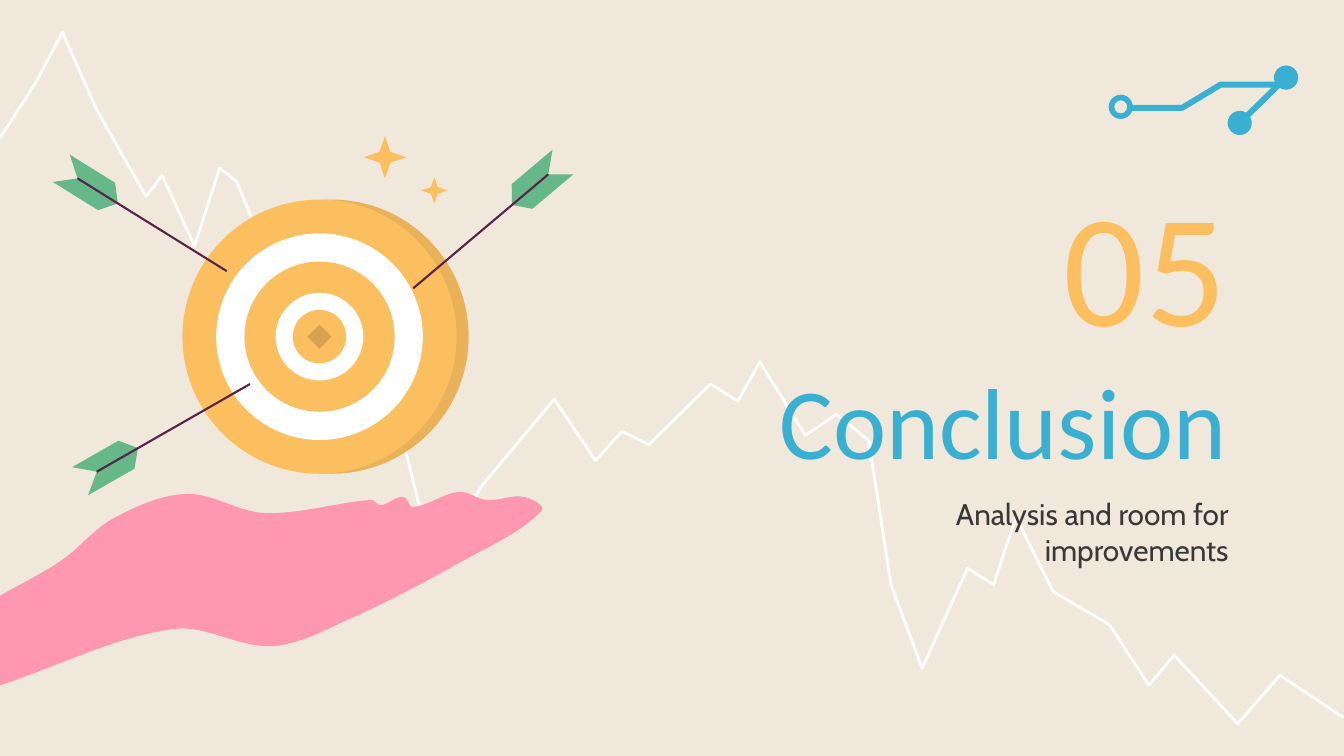
import math

from lxml import etree
from pptx import Presentation
from pptx import util as u
from pptx.dml.color import RGBColor
from pptx.enum import shapes, text
from pptx.oxml.ns import qn

CREAM = RGBColor(0xF1, 0xE8, 0xDC)
WHITE = RGBColor(0xFF, 0xFF, 0xFF)
BLUE = RGBColor(0x39, 0xB0, 0xD1)
GOLD = RGBColor(0xFB, 0xBF, 0x60)
SHADE = RGBColor(0xE8, 0xB1, 0x5A)
BRONZE = RGBColor(0xD7, 0xA3, 0x50)
GREEN = RGBColor(0x66, 0xB8, 0x88)
PLUM = RGBColor(0x56, 0x23, 0x49)
PINK = RGBColor(0xFE, 0x98, 0xB0)
INK = RGBColor(0x38, 0x38, 0x38)

# Content: places are in grid units of 2.54 cm
GRID = 2.54
STEPS = 10  # straight pieces per curve

TITLE = ("Conclusion", (4.07, 3.43, 8.23, 1.45), 0.13, "Calibri", 72, BLUE)
NUMBER = ("05", (7.48, 1.79, 4.82, 1.63), 0.13, "Calibri", 114.7, GOLD)
NOTE = ("Analysis and room for improvements", (7.8, 4.84, 4.49, 0.87),
        0.1, "Cabin", 21.3, INK)

TREND = [
    (0, 1.37), (0.35, 0.83), (0.62, 0.32), (0.96, 1.09), (1.45, 1.95),
    (1.61, 1.74), (1.93, 2.44), (2.18, 1.67), (2.35, 1.8), (2.65, 2.55),
    (3.99, 4.33), (4.3, 5.58), (4.79, 4.81), (5.5, 3.96), (5.91, 4.57),
    (6.17, 4.28), (6.44, 4.41), (7.05, 3.81), (7.32, 3.98), (7.54, 3.59),
    (7.99, 4.32), (8.3, 4.11), (8.62, 4.37), (8.84, 5.8), (9.15, 6.63),
    (9.6, 5.64), (9.86, 5.8), (10.08, 5.13), (10.45, 5.87), (11.01, 6.2),
    (11.4, 6.8), (11.65, 6.5), (12.28, 7.18), (12.7, 6.7), (13.33, 7.12)]

# Circuit: a bent wire, a diagonal wire, a ring and two dots
WIRE = [(11.2, 1.07), (11.73, 1.07), (12.11, 0.84), (12.69, 0.84)]
RING = (11.12, 1.06)
DOTS = [(12.3, 1.22), (12.76, 0.77)]
DOT = 0.24

# Target: centre, then ring sizes from the outside in
HUB = (3.17, 3.34)
RINGS = [2.72, 2.05, 1.49, 0.87, 0.53]
EDGE = 0.12
MARK = 0.24

# Arrows: tail and tip; the feather is given along and across the shaft
ARROWS = [((0.96, 4.68), (2.48, 3.81)), ((5.44, 1.73), (4.1, 2.86)),
          ((0.77, 1.77), (2.25, 2.69))]
FEATHER = [(0, 0), (-0.19, 0.16), (0.34, 0.16),
           (0.47, 0), (0.34, -0.16), (-0.19, -0.16)]

# Hand: a smooth curve from the top of the wrist to its underside
HAND = [
    (0, 5.91), (0.61, 5.56), (1.13, 5.14), (1.85, 4.9), (2.63, 5.09),
    (3.68, 4.96), (3.78, 5.01), (4, 4.93), (4.1, 5.03), (4.55, 4.88),
    (4.83, 4.96), (5.2, 4.93), (5.37, 5.07), (4.6, 5.56), (3.47, 6.14),
    (2.7, 6.41), (1.71, 6.24), (0, 6.8)]

SPARKS = [(3.82, 1.56, 0.42), (4.31, 1.89, 0.26)]


def cm(val):
    return u.Cm(val * GRID)


def paint(shape, color):
    shape.shadow.inherit = False
    shape.fill.solid()
    shape.fill.fore_color.rgb = color
    shape.line.fill.background()


def trace(slide, pts, close=True):
    pts = [(cm(x), cm(y)) for x, y in pts]
    pen = slide.shapes.build_freeform(*pts[0])
    pen.add_line_segments(pts[1:], close=close)
    return pen.convert_to_shape()


def stroke(slide, pts, color, width):
    line = trace(slide, pts, close=False)
    line.shadow.inherit = False
    line.fill.background()
    line.line.color.rgb = color
    line.line.width = u.Pt(width)


def link(slide, ends, color, width):
    (x1, y1), (x2, y2) = ends
    line = slide.shapes.add_connector(
        shapes.MSO_CONNECTOR.STRAIGHT, cm(x1), cm(y1), cm(x2), cm(y2))
    line.line.color.rgb = color
    line.line.width = u.Pt(width)
    etree.SubElement(line._element.spPr, qn("a:effectLst"))


def disc(slide, x, y, size, color, kind=shapes.MSO_SHAPE.OVAL):
    shape = slide.shapes.add_shape(
        kind, cm(x - size / 2), cm(y - size / 2), cm(size), cm(size))
    paint(shape, color)
    return shape


def unit(a, b):
    span = math.dist(a, b)
    return (b[0] - a[0]) / span, (b[1] - a[1]) / span


def smooth(pts):
    last = len(pts) - 1
    ways = [unit(pts[max(i - 1, 0)], pts[min(i + 1, last)])
            for i in range(last + 1)]
    out = [pts[0]]
    for a, b, go, end in zip(pts, pts[1:], ways, ways[1:]):
        reach = math.dist(a, b) / 3
        for step in range(1, STEPS + 1):
            t = step / STEPS
            s = 1 - t
            out.append(tuple(
                s**3 * p + 3 * s * s * t * (p + reach * g)
                + 3 * s * t * t * (q - reach * e) + t**3 * q
                for p, q, g, e in zip(a, b, go, end)))
    return out


def arrow(slide, tail, tip):
    (x, y), (dx, dy) = tail, unit(tail, tip)
    vane = [(x + a * dx - b * dy, y + a * dy + b * dx) for a, b in FEATHER]
    paint(trace(slide, vane), GREEN)
    link(slide, (tail, tip), PLUM, 1.5)


def write(shape, words, box, inset, face, size, color):
    shape.left, shape.top, shape.width, shape.height = map(cm, box)
    frame = shape.text_frame
    frame.word_wrap = True
    frame.auto_size = text.MSO_AUTO_SIZE.NONE
    frame.vertical_anchor = text.MSO_ANCHOR.MIDDLE
    frame.margin_left = frame.margin_right = cm(inset)
    frame.margin_top = frame.margin_bottom = cm(inset)
    para = frame.paragraphs[0]
    para.alignment = text.PP_ALIGN.RIGHT
    para.space_before = u.Pt(0)
    run = para.add_run()
    run.text = words
    run.font.name = face
    run.font.size = u.Pt(size)
    run.font.color.rgb = color


def main():
    prs = Presentation()
    prs.slide_width, prs.slide_height = u.Cm(33.87), u.Cm(19.05)
    slide = prs.slides.add_slide(prs.slide_layouts[0])
    slide.background.fill.solid()
    slide.background.fill.fore_color.rgb = CREAM

    # Trend line and circuit
    stroke(slide, TREND, WHITE, 2)
    stroke(slide, WIRE, BLUE, 4.25)
    link(slide, DOTS, BLUE, 4.25)
    ring = disc(slide, *RING, DOT, BLUE, shapes.MSO_SHAPE.DONUT)
    ring.adjustments[0] = 0.23
    for x, y in DOTS:
        disc(slide, x, y, DOT, BLUE)

    # Target with its shaded edge
    disc(slide, HUB[0] + EDGE, HUB[1], RINGS[0], SHADE)
    for i, size in enumerate(RINGS):
        disc(slide, *HUB, size, WHITE if i % 2 else GOLD)
    disc(slide, *HUB, MARK, BRONZE, shapes.MSO_SHAPE.DIAMOND)

    # Arrows, hand and sparks
    for tail, tip in ARROWS:
        arrow(slide, tail, tip)
    paint(trace(slide, smooth(HAND)), PINK)
    for x, y, size in SPARKS:
        star = disc(slide, x, y, size, GOLD, shapes.MSO_SHAPE.STAR_4_POINT)
        star.adjustments[0] = 0.18

    # Text in front of the trend line
    title, note = slide.shapes.title, slide.placeholders[1]
    for holder in (title, note):
        slide.shapes._spTree.append(holder._element)
    write(title, *TITLE)
    write(note, *NOTE)
    write(slide.shapes.add_textbox(0, 0, 0, 0), *NUMBER)
    prs.save("out.pptx")


if __name__ == "__main__":
    main()
